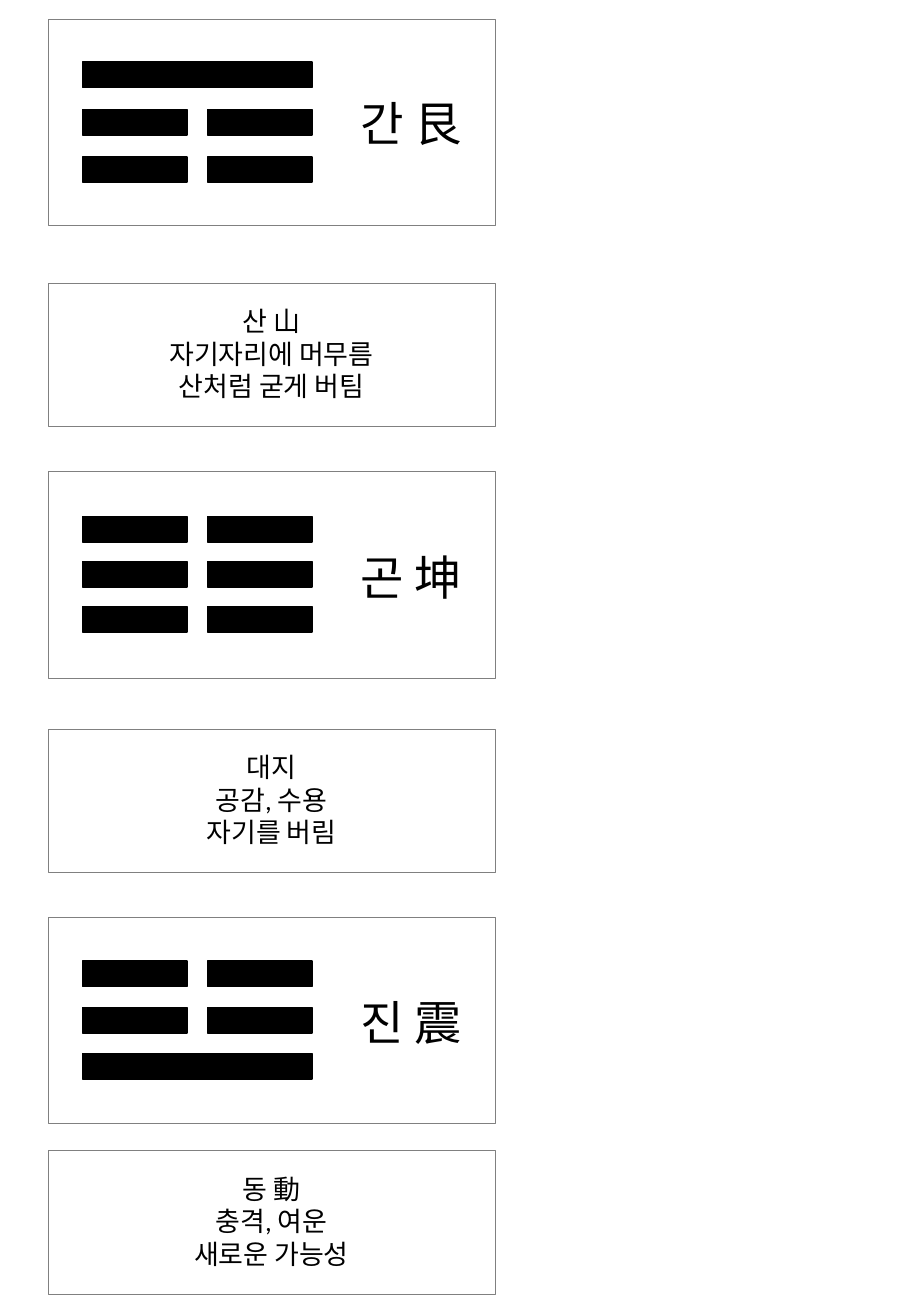
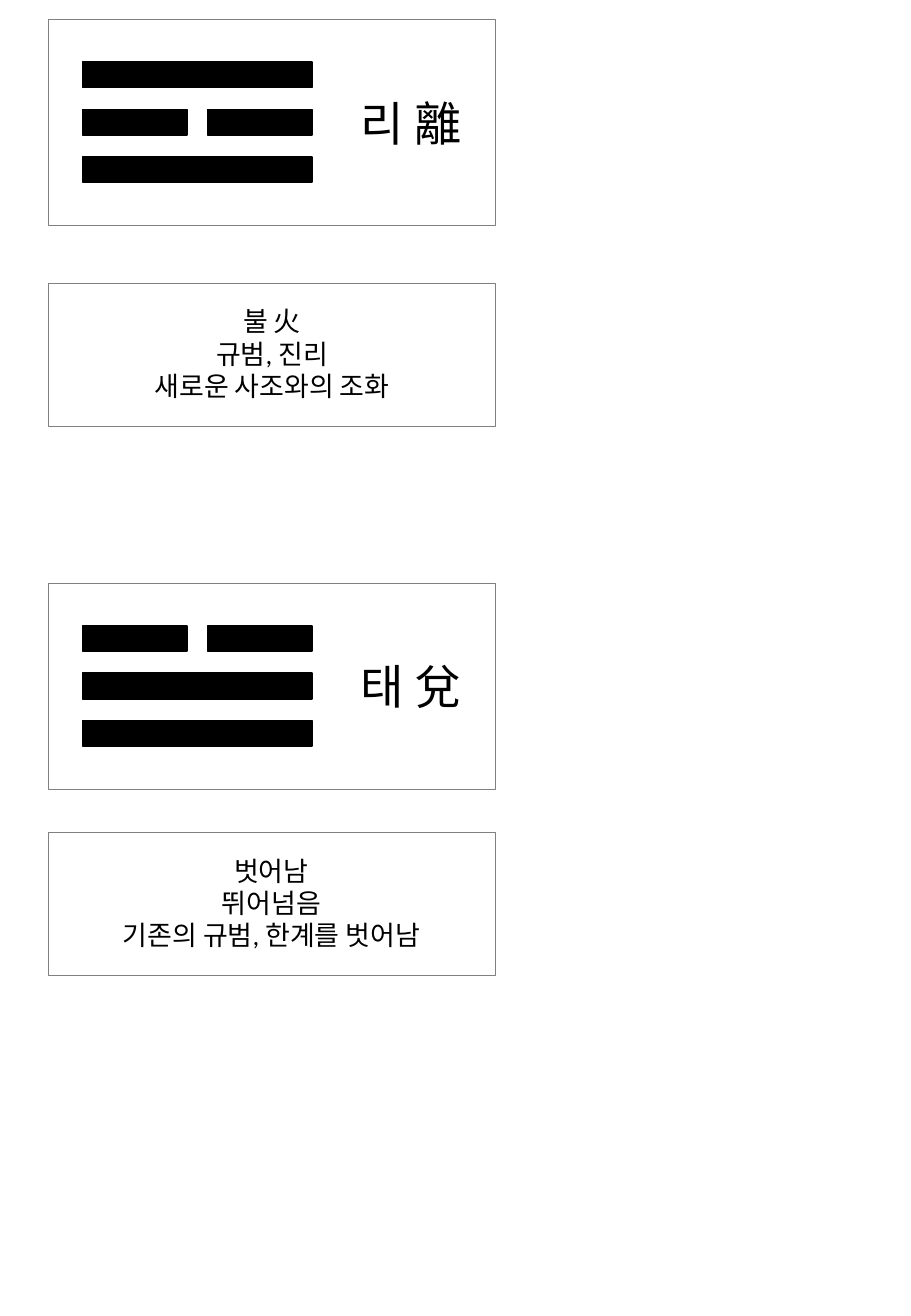
from pptx import Presentation
from pptx.dml.color import RGBColor
from pptx.enum.shapes import MSO_SHAPE as Preset
from pptx.enum.text import MSO_ANCHOR as Anchor, MSO_AUTO_SIZE as AutoSize, PP_ALIGN as Align
from pptx.util import Emu, Pt

PX = 9144  # EMU per px, 100 px to the inch
COLORS = {"ink": "000000", "frame": "808080"}
FONT = "Calibri"

# Trigrams per slide; bars run from top to bottom, 1 = whole, 0 = broken
SLIDES = [
    [
        {"name": "간 艮", "bars": (1, 0, 0), "top": 16, "inset": 35, "pitch": 39,
         "note_top": 233, "note_width": 259,
         "note": ["산 山", "자기자리에 머무름", "산처럼 굳게 버팀"]},
        {"name": "곤 坤", "bars": (0, 0, 0), "top": 388, "inset": 37, "pitch": 37,
         "note_top": 600, "note_width": 259,
         "note": ["대지", "공감, 수용", "자기를 버림"]},
        {"name": "진 震", "bars": (0, 0, 1), "top": 755, "inset": 36, "pitch": 38,
         "note_top": 947, "note_width": 259,
         "note": ["동 動", "충격, 여운", "새로운 가능성"]},
    ],
    [
        {"name": "리 離", "bars": (1, 0, 1), "top": 16, "inset": 35, "pitch": 39,
         "note_top": 233, "note_width": 298,
         "note": ["불 火", "규범, 진리", "새로운 사조와의 조화"]},
        {"name": "태 兌", "bars": (0, 1, 1), "top": 480, "inset": 35, "pitch": 39,
         "note_top": 685, "note_width": 323,
         "note": ["벗어남", "뛰어넘음", "기존의 규범, 한계를 벗어남"]},
    ],
]

# Shared measures in px
PAGE_W, PAGE_H = 750, 1083
FRAME_X, FRAME_W, SIGN_H, NOTE_H = 40, 368, 170, 118
BAR_X, BAR_W, HALF_W, BAR_H = 68, 189, 86, 21
NAME_X, NAME_W, NAME_H = 280, 117, 99
NOTE_INSET, NOTE_TEXT_H = 13, 91


def color(key):
    return RGBColor.from_string(COLORS[key])


def emu(*lengths):
    return [Emu(length * PX) for length in lengths]


def add_box(slide, box, line, width, fill=None):
    shape = slide.shapes.add_shape(Preset.RECTANGLE, *emu(*box))
    shape.shadow.inherit = False
    if fill:
        shape.fill.solid()
        shape.fill.fore_color.rgb = color(fill)
    else:
        shape.fill.background()
    shape.line.color.rgb = color(line)
    shape.line.width = Pt(width)


def add_text(slide, box, lines, size, anchor=Anchor.TOP, fit=AutoSize.NONE):
    frame = slide.shapes.add_textbox(*emu(*box)).text_frame
    frame.word_wrap = True
    frame.auto_size = fit
    frame.vertical_anchor = anchor
    for i, line in enumerate(lines):
        paragraph = frame.add_paragraph() if i else frame.paragraphs[0]
        paragraph.alignment = Align.CENTER
        run = paragraph.add_run()
        run.text = line
        run.font.name = FONT
        run.font.size = Pt(size)
        run.font.color.rgb = color("ink")


def add_trigram(slide, trigram):
    # Bars
    bars_top = trigram["top"] + trigram["inset"]
    for row, whole in enumerate(trigram["bars"]):
        y = bars_top + row * trigram["pitch"]
        right_half = BAR_X + BAR_W - HALF_W
        pieces = [(BAR_X, BAR_W)] if whole else [(BAR_X, HALF_W), (right_half, HALF_W)]
        for x, w in pieces:
            add_box(slide, (x, y, w, BAR_H), "ink", 1, fill="ink")

    # Name and meaning
    add_text(slide, (NAME_X, bars_top, NAME_W, NAME_H), [trigram["name"]], 28, Anchor.MIDDLE)
    note_w = trigram["note_width"]
    note_x = FRAME_X + (FRAME_W - note_w) // 2
    add_text(slide, (note_x, trigram["note_top"] + NOTE_INSET, note_w, NOTE_TEXT_H),
             trigram["note"], 16, fit=AutoSize.SHAPE_TO_FIT_TEXT)

    # Frames
    for y, h in ((trigram["top"], SIGN_H), (trigram["note_top"], NOTE_H)):
        add_box(slide, (FRAME_X, y, FRAME_W, h), "frame", 0.5)


def main():
    deck = Presentation()
    deck.slide_width, deck.slide_height = emu(PAGE_W, PAGE_H)
    for trigrams in SLIDES:
        slide = deck.slides.add_slide(deck.slide_layouts[6])
        for trigram in trigrams:
            add_trigram(slide, trigram)
    deck.save("out.pptx")


if __name__ == "__main__":
    main()
